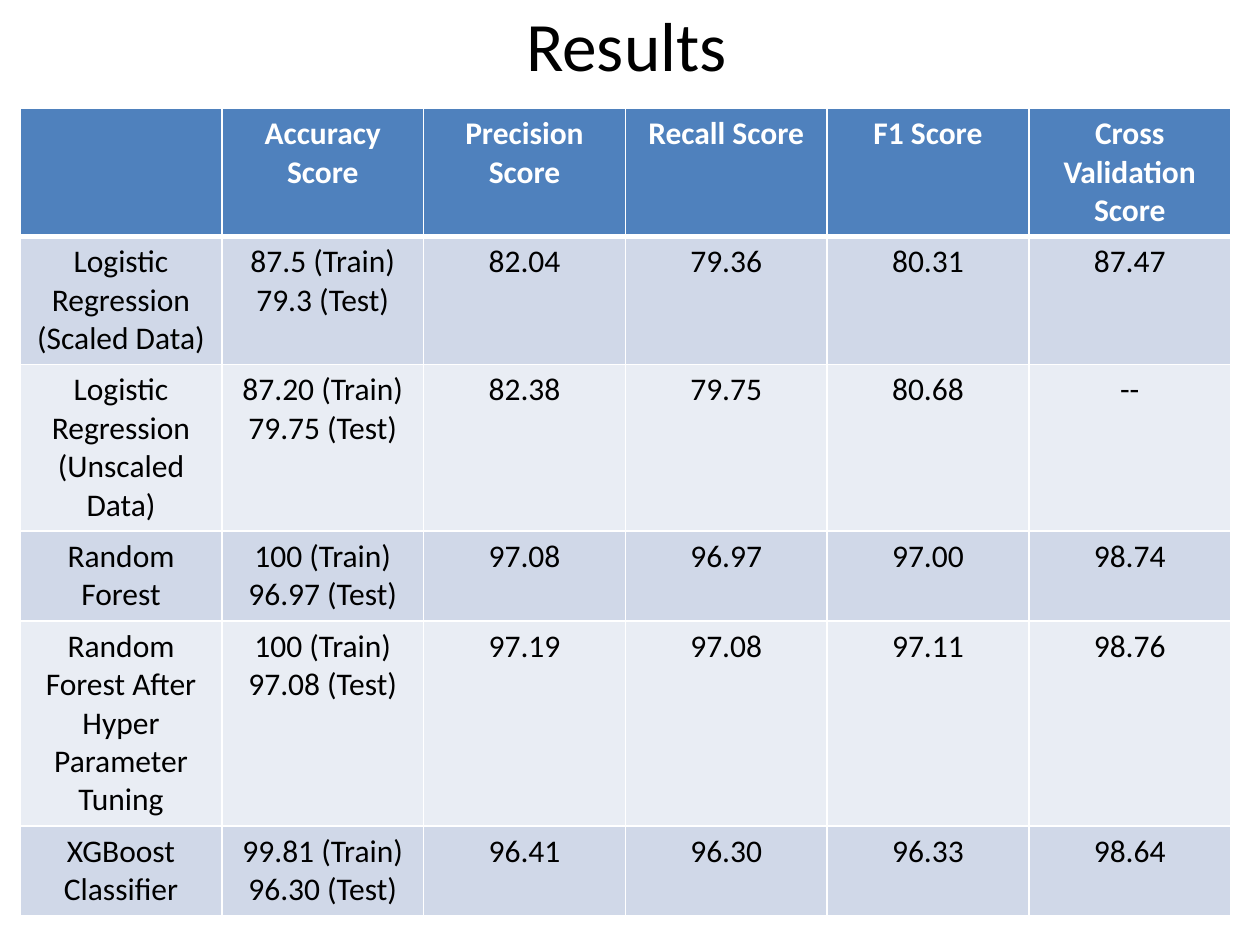
"""Build the slide with the table of model results."""
import lxml.etree
import pptx
import pptx.dml.color
import pptx.enum.text
import pptx.oxml.ns
import pptx.util

Pt = pptx.util.Pt
RGBColor = pptx.dml.color.RGBColor
BLACK = RGBColor(0x00, 0x00, 0x00)
WHITE = RGBColor(0xFF, 0xFF, 0xFF)
HEADER_BLUE = RGBColor(0x4F, 0x81, 0xBD)
BANDS = (RGBColor(0xD0, 0xD8, 0xE8), RGBColor(0xE9, 0xED, 0xF4))

HEADINGS = ("", "Accuracy Score", "Precision Score", "Recall Score", "F1 Score",
            "Cross Validation Score")
RESULTS = (
    ("Logistic Regression (Scaled Data)", "87.5 (Train)\n79.3 (Test)",
     "82.04", "79.36", "80.31", "87.47"),
    ("Logistic Regression (Unscaled Data)", "87.20 (Train)\n79.75 (Test)",
     "82.38", "79.75", "80.68", "--"),
    ("Random Forest", "100 (Train)\n96.97 (Test)",
     "97.08", "96.97", "97.00", "98.74"),
    ("Random Forest After Hyper Parameter Tuning", "100 (Train)\n97.08 (Test)",
     "97.19", "97.08", "97.11", "98.76"),
    ("XGBoost Classifier", "99.81 (Train)\n96.30 (Test)",
     "96.41", "96.30", "96.33", "98.64"),
)
LINES_PER_ROW = (3, 3, 4, 2, 5, 2)


class ResultsSlide:
    font_name = "Calibri"
    table_size = 18
    line_height = 22
    cell_padding = 7.2

    def __init__(self, slide):
        self.slide = slide

    def set_text(self, frame, text, size, color, bold=False):
        frame.text = text
        for paragraph in frame.paragraphs:
            paragraph.alignment = pptx.enum.text.PP_ALIGN.CENTER
            paragraph.font.name = self.font_name
            paragraph.font.size = Pt(size)
            paragraph.font.bold = bold
            paragraph.font.color.rgb = color

    def title(self, text, left, top, width, height):
        heading = self.slide.shapes.add_textbox(Pt(left), Pt(top), Pt(width), Pt(height))
        heading.text_frame.word_wrap = True
        heading.text_frame.vertical_anchor = pptx.enum.text.MSO_ANCHOR.MIDDLE
        self.set_text(heading.text_frame, text, 39.6, BLACK)

    def border(self, cell, side, width):
        properties = cell._tc.get_or_add_tcPr()
        line = lxml.etree.SubElement(
            properties, pptx.oxml.ns.qn(f"a:ln{side}"), w=str(Pt(width)))
        fill = lxml.etree.SubElement(line, pptx.oxml.ns.qn("a:solidFill"))
        lxml.etree.SubElement(fill, pptx.oxml.ns.qn("a:srgbClr"), val=str(WHITE))

    def cell(self, cell, text, row):
        is_header = row == 0
        self.set_text(cell.text_frame, text, self.table_size,
                      WHITE if is_header else BLACK, is_header)
        for side in "LRTB":
            heavy = (row, side) in ((0, "B"), (1, "T"))
            self.border(cell, side, 3 if heavy else 1)
        cell.fill.solid()
        cell.fill.fore_color.rgb = HEADER_BLUE if is_header else BANDS[(row - 1) % 2]

    def table(self, rows, lines, left, top, width):
        heights = [self.line_height * count + self.cell_padding for count in lines]
        scores = self.slide.shapes.add_table(
            len(rows), len(rows[0]), Pt(left), Pt(top), Pt(width), Pt(sum(heights))).table
        for row, (texts, height) in enumerate(zip(rows, heights)):
            scores.rows[row].height = Pt(height)
            for column, text in enumerate(texts):
                self.cell(scores.cell(row, column), text, row)


def main():
    deck = pptx.Presentation()
    deck.slide_width, deck.slide_height = Pt(720), Pt(540)
    results = ResultsSlide(deck.slides.add_slide(deck.slide_layouts[6]))
    results.title("Results", 34, 0, 648, 50.4)
    results.table((HEADINGS, *RESULTS), LINES_PER_ROW, 11.5, 62, 691.8)
    deck.save("out.pptx")


if __name__ == "__main__":
    main()
